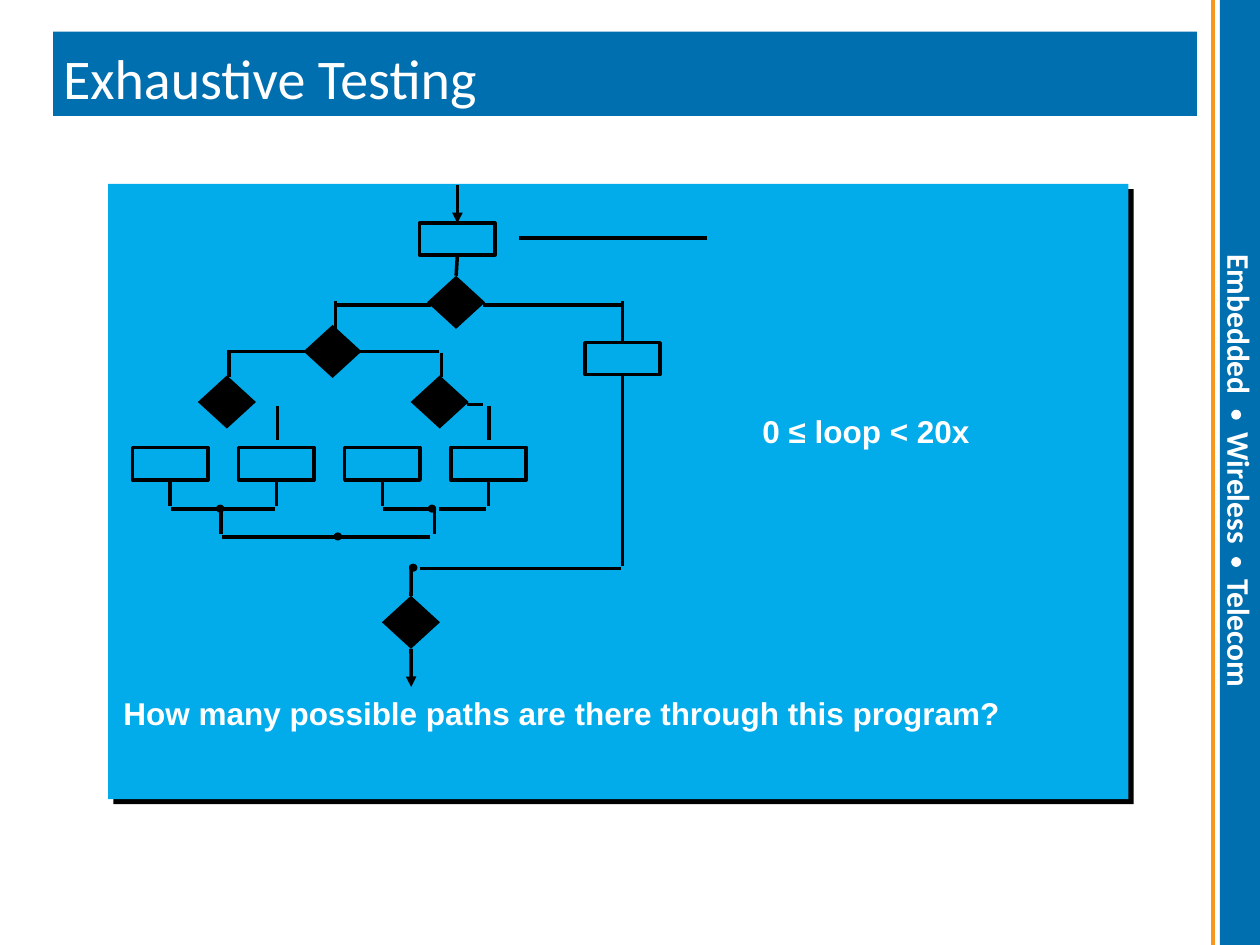
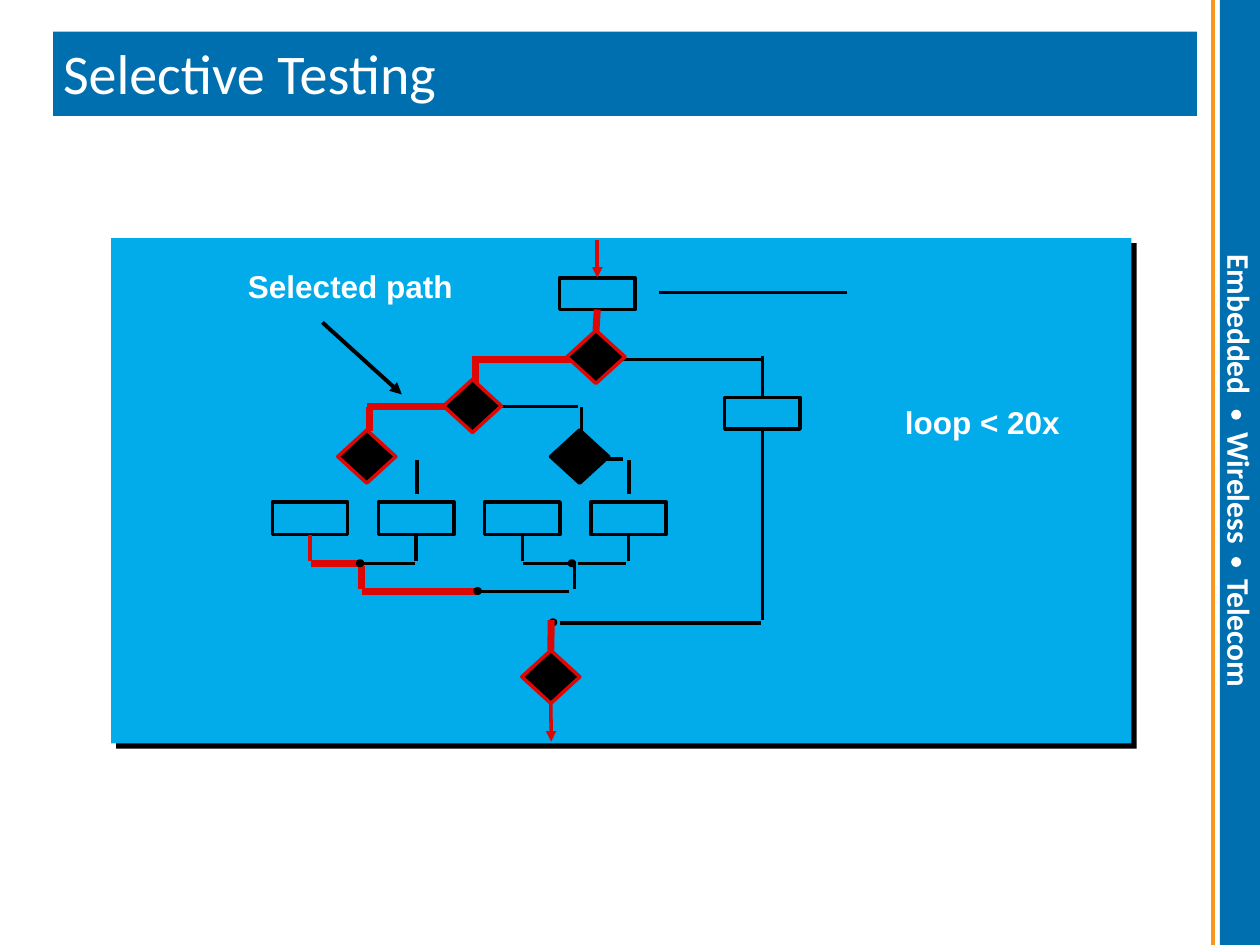
from dataclasses import dataclass

from lxml import etree
from pptx import Presentation
from pptx.dml.color import RGBColor
from pptx.enum.shapes import MSO_CONNECTOR, MSO_SHAPE
from pptx.enum.text import MSO_ANCHOR, MSO_AUTO_SIZE, PP_ALIGN
from pptx.oxml.ns import qn
from pptx.util import Cm, Pt

RECTANGLE, DIAMOND, OVAL = MSO_SHAPE.RECTANGLE, MSO_SHAPE.DIAMOND, MSO_SHAPE.OVAL
STRAIGHT = MSO_CONNECTOR.STRAIGHT
LEFT, CENTER = PP_ALIGN.LEFT, PP_ALIGN.CENTER
MIDDLE, TOP_ANCHOR = MSO_ANCHOR.MIDDLE, MSO_ANCHOR.TOP
NO_AUTOFIT = MSO_AUTO_SIZE.NONE

BLUE, ORANGE, SKY = "006FAF", "F8971C", "02ABEA"
BLACK, WHITE, RED = "000000", "FFFFFF", "DD0806"
TOP, BOTTOM = 0, 2  # connection sites
LINE, THICK = 2, 4  # line widths in points


@dataclass(frozen=True)
class Node:
    """A flowchart shape, in centimetres."""
    name: str
    kind: int
    left: float
    top: float
    width: float
    height: float
    on_path: bool = False


@dataclass(frozen=True)
class Link:
    """A flowchart line; start and end may name a node and its site."""
    x1: float
    y1: float
    x2: float
    y2: float
    on_path: bool = False
    thin: bool = False
    arrow: bool = False
    start: tuple | None = None
    end: tuple | None = None


@dataclass(frozen=True)
class Label:
    text: str
    left: float
    top: float
    width: float
    height: float
    align: int = CENTER
    spacing: float = 0.88


@dataclass(frozen=True)
class Page:
    title: str
    title_top: float
    panel: tuple
    shift: tuple
    selected: bool
    labels: tuple


# Flowchart nodes
LEAF_LEFT, LEAF_STEP, LEAF_WIDTH = 2.67, 2.14, 1.52
LEAF_CENTERS = [LEAF_LEFT + LEAF_STEP * i + LEAF_WIDTH / 2 for i in range(4)]
BOXES = [
    Node("start", RECTANGLE, 8.46, 4.5, 1.52, 0.64),
    Node("side", RECTANGLE, 11.79, 6.91, 1.52, 0.64),
] + [
    Node(f"leaf{i}", RECTANGLE, LEAF_LEFT + LEAF_STEP * i, 9.02, LEAF_WIDTH, 0.66)
    for i in range(4)
]
DECISIONS = [
    Node(name, DIAMOND, left, top, 1.17, 1.07, on_path)
    for name, left, top, on_path in (
        ("first", 8.61, 5.56, True),
        ("second", 6.12, 6.55, True),
        ("left", 3.99, 7.57, True),
        ("right", 8.28, 7.57, False),
        ("loop", 7.7, 12.01, True),
    )
]
JUNCTIONS = [
    Node(name, OVAL, left, top, 0.1, 0.09)
    for name, left, top in (
        ("left merge", 4.39, 10.21),
        ("right merge", 8.66, 10.21),
        ("branch merge", 6.76, 10.77),
        ("side merge", 8.28, 11.4),
    )
]

# Lines that lie under the decisions
BRANCHES = [
    Link(10.46, 4.8, 14.25, 4.8),
    # First decision
    Link(8.69, 6.15, 6.73, 6.15, on_path=True),
    Link(6.76, 6.07, 6.76, 6.65, on_path=True),
    Link(9.73, 6.15, 12.52, 6.15),
    Link(12.55, 6.07, 12.55, 6.91, end=("side", TOP)),
    # Second decision
    Link(6.3, 7.09, 4.57, 7.09, on_path=True),
    Link(4.62, 7.11, 4.62, 7.59, on_path=True),
    Link(7.26, 7.09, 8.84, 7.09),
    Link(8.9, 7.11, 8.9, 7.59),
    # Third-level decisions
    Link(5.59, 8.18, 5.59, 8.86),
    Link(9.42, 8.15, 9.73, 8.15),
    Link(9.86, 8.18, 9.86, 8.86),
    # Merging of the branches
    Link(3.45, 10.26, 4.42, 10.26, on_path=True),
    Link(4.5, 10.26, 5.54, 10.26),
    Link(7.72, 10.26, 8.76, 10.26),
    Link(8.84, 10.26, 9.8, 10.26),
    Link(4.46, 10.31, 4.46, 10.77, on_path=True),
    Link(8.76, 10.29, 8.76, 10.77),
    Link(4.47, 10.82, 6.81, 10.82, on_path=True),
    Link(8.66, 10.82, 6.81, 10.82),
    # Return of the side branch
    Link(12.55, 7.55, 12.55, 11.4, start=("side", BOTTOM)),
    Link(8.46, 11.46, 12.52, 11.46),
] + [
    Link(center, 9.68, center, 10.21, on_path=i == 0, thin=True,
         start=(f"leaf{i}", BOTTOM))
    for i, center in enumerate(LEAF_CENTERS)
]

# Lines on the main trunk
TRUNK = [
    Link(9.22, 3.73, 9.22, 4.5, on_path=True, thin=True, arrow=True,
         end=("start", TOP)),
    Link(9.22, 5.14, 9.22, 5.56, on_path=True,
         start=("start", BOTTOM), end=("first", TOP)),
    Link(8.29, 11.4, 8.29, 12.01, on_path=True, end=("loop", TOP)),
    Link(8.29, 13.08, 8.29, 13.85, on_path=True, thin=True, arrow=True,
         start=("loop", BOTTOM)),
]

PAGES = (
    Page("Exhaustive Testing", 0.18, (2.18, 3.71, 20.57, 12.4), (0, 0), False, (
        Label("0 ≤ loop < 20x", 14.27, 8.33, 6.38, 0.81),
        Label("How many possible paths are there through this program?",
              2.31, 14.02, 20.4, 0.81, LEFT),
    )),
    Page("Selective Testing", 0.08, (2.24, 4.8, 20.57, 10.19), (2.82, 1.1), True, (
        Label("Selected path", 4.82, 5.31, 4.6, 0.92, LEFT, 1.0),
        Label("loop < 20x", 17.14, 8.15, 5.33, 0.81),
    )),
)


def color(hex_value: str) -> RGBColor:
    return RGBColor.from_string(hex_value)


def write_text(text_frame, text: str, *, size=18, font="Arial", fill=WHITE,
               bold=False, align=LEFT, anchor=TOP_ANCHOR, spacing=1.0,
               insets=(0, 0), tabs=()) -> None:
    text_frame.word_wrap = True
    text_frame.auto_size = NO_AUTOFIT
    text_frame.vertical_anchor = anchor
    text_frame.margin_left = text_frame.margin_right = Cm(insets[0])
    text_frame.margin_top = text_frame.margin_bottom = Cm(insets[1])
    paragraph = text_frame.paragraphs[0]
    paragraph.alignment = align
    paragraph.line_spacing = spacing
    if tabs:
        tab_list = etree.SubElement(paragraph._p.get_or_add_pPr(), qn("a:tabLst"))
        for position in tabs:
            etree.SubElement(tab_list, qn("a:tab"), pos=str(Cm(position)), algn="l")
    run = paragraph.add_run()
    run.text = text
    run.font.size = Pt(size)
    run.font.name = font
    run.font.bold = bold
    run.font.color.rgb = color(fill)


def add_block(slide, kind: int, left: float, top: float, width: float,
              height: float, fill: str, outline: str | None = None):
    shape = slide.shapes.add_shape(kind, Cm(left), Cm(top), Cm(width), Cm(height))
    shape.shadow.inherit = False
    shape.fill.solid()
    shape.fill.fore_color.rgb = color(fill)
    if outline:
        shape.line.color.rgb = color(outline)
        shape.line.width = Pt(LINE)
    else:
        shape.line.fill.background()
    return shape


def add_line(slide, x1: float, y1: float, x2: float, y2: float, stroke: str,
             width: float, arrow: bool = False):
    connector = slide.shapes.add_connector(STRAIGHT, Cm(x1), Cm(y1), Cm(x2), Cm(y2))
    connector.line.color.rgb = color(stroke)
    connector.line.width = Pt(width)
    properties = connector.element.spPr
    if arrow:
        etree.SubElement(properties.find(qn("a:ln")), qn("a:tailEnd"), type="triangle")
    etree.SubElement(properties, qn("a:effectLst"))
    return connector


def build_frame(slide, layout) -> None:
    """Draw the shared bands once and hand them to the layout."""
    for placeholder in list(layout.placeholders):
        if placeholder.placeholder_format.idx:
            layout.shapes.element.remove(placeholder.element)
    add_block(slide, RECTANGLE, 1.07, 0.64, 23.06, 1.7, BLUE)
    sidebar = add_block(slide, RECTANGLE, 24.59, 0, 0.81, 19.05, BLUE)
    write_text(sidebar.text_frame, "Embedded\tWireless\tTelecom", font="Calibri",
               bold=True, anchor=MIDDLE, tabs=(3.58, 6.55))
    sidebar.text_frame.margin_top = Cm(5.13)
    sidebar.text_frame._txBody.bodyPr.set("vert", "eaVert")
    add_line(slide, 24.46, 0, 24.46, 19.05, ORANGE, 2.25)
    for top in (8.26, 11.23):
        add_block(slide, OVAL, 24.82, top, 0.2, 0.2, WHITE)
    for shape in list(slide.shapes):
        if not shape.is_placeholder:
            layout.shapes.element.append(shape.element)


def add_panel(slide, bounds: tuple) -> None:
    panel = add_block(slide, RECTANGLE, *bounds, SKY)
    effects = panel.element.spPr.find(qn("a:effectLst"))
    shadow = etree.SubElement(effects, qn("a:outerShdw"), blurRad="0",
                              dist=str(Pt(4.2)), dir="2700000", algn="tl",
                              rotWithShape="0")
    etree.SubElement(shadow, qn("a:srgbClr"), val=BLACK)


def draw_flowchart(slide, shift: tuple, selected: bool) -> None:
    dx, dy = shift
    drawn = {}

    def place(node: Node, fill: str, outline: str | None) -> None:
        drawn[node.name] = add_block(slide, node.kind, node.left + dx, node.top + dy,
                                     node.width, node.height, fill, outline)

    def connect(link: Link) -> None:
        marked = selected and link.on_path
        connector = add_line(slide, link.x1 + dx, link.y1 + dy, link.x2 + dx,
                             link.y2 + dy, RED if marked else BLACK,
                             THICK if marked and not link.thin else LINE, link.arrow)
        if link.start:
            connector.begin_connect(drawn[link.start[0]], link.start[1])
        if link.end:
            connector.end_connect(drawn[link.end[0]], link.end[1])

    for box in BOXES:
        place(box, SKY, BLACK)
    for link in BRANCHES:
        connect(link)
    for junction in JUNCTIONS:
        place(junction, BLACK, BLACK)
    for decision in DECISIONS:
        outline = RED if decision.on_path else BLACK
        place(decision, BLACK, outline if selected else None)
    for link in TRUNK:
        connect(link)


def build_page(slide, page: Page) -> None:
    title = slide.shapes.title
    title.left, title.top = Cm(1.27), Cm(page.title_top)
    title.width, title.height = Cm(22.86), Cm(2.92)
    write_text(title.text_frame, page.title, size=32, font="Calibri",
               anchor=MIDDLE, spacing=0.88)
    add_panel(slide, page.panel)
    draw_flowchart(slide, page.shift, page.selected)
    for label in page.labels:
        box = slide.shapes.add_textbox(Cm(label.left), Cm(label.top),
                                       Cm(label.width), Cm(label.height))
        write_text(box.text_frame, label.text, bold=True, align=label.align,
                   spacing=label.spacing, insets=(0.18, 0.08))
    if page.selected:
        # Pointer from the label to the selected path
        add_line(slide, 6.5, 6.5, 8.1, 7.95, BLACK, 2.25, arrow=True)


def main() -> None:
    presentation = Presentation()
    presentation.slide_width, presentation.slide_height = Cm(25.4), Cm(19.05)
    layout = presentation.slide_layouts.get_by_name("Title Only")
    slides = [presentation.slides.add_slide(layout) for _ in PAGES]
    build_frame(slides[0], layout)
    for slide, page in zip(slides, PAGES):
        build_page(slide, page)
    presentation.save("out.pptx")


if __name__ == "__main__":
    main()
